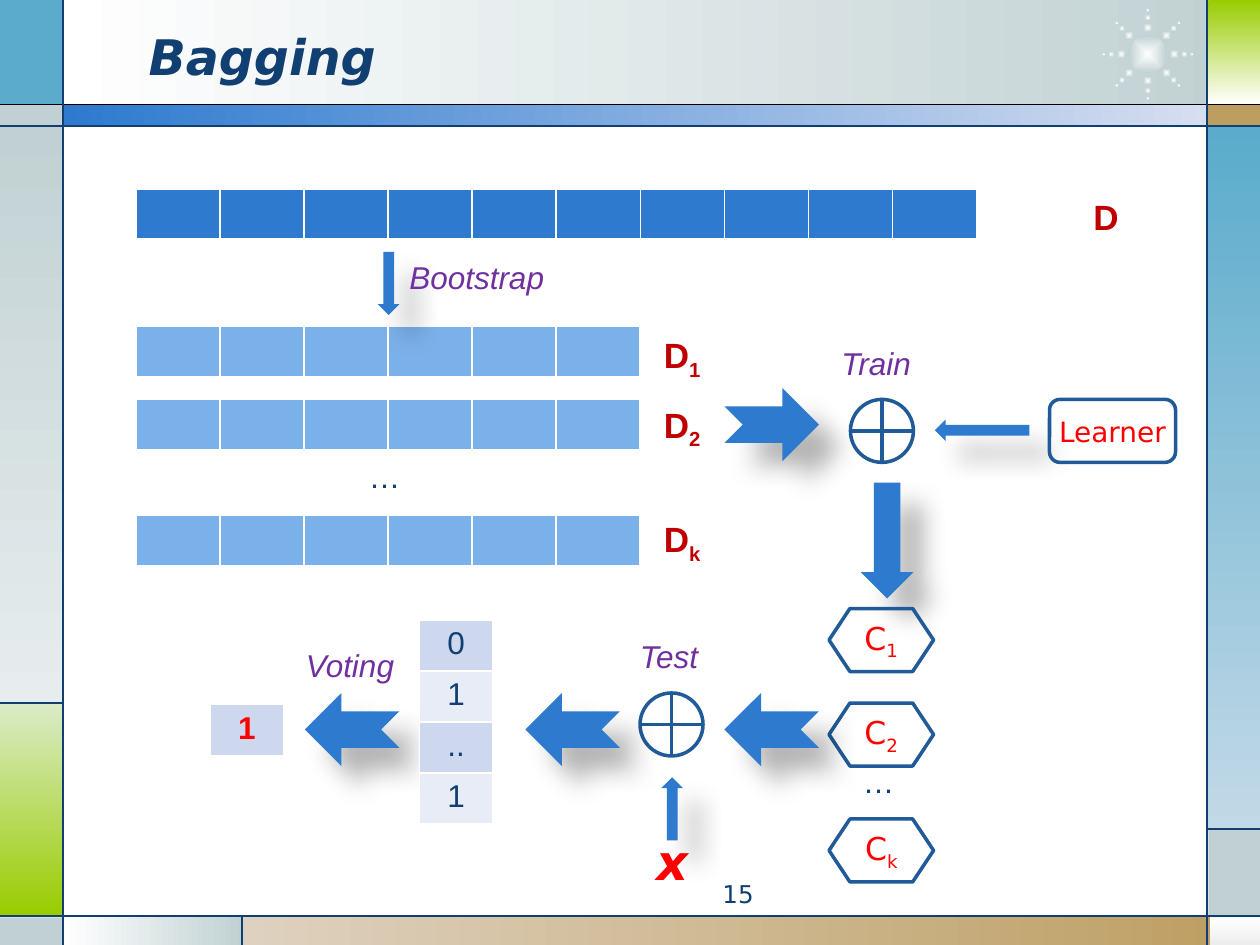
from dataclasses import dataclass
from math import cos, pi, sin

from lxml.etree import SubElement
from pptx import Presentation
from pptx.dml.color import RGBColor
from pptx.enum.shapes import MSO_CONNECTOR, MSO_SHAPE
from pptx.enum.text import MSO_ANCHOR, MSO_AUTO_SIZE, PP_ALIGN
from pptx.oxml import parse_xml
from pptx.oxml.ns import nsdecls, qn
from pptx.util import Inches, Pt


@dataclass(frozen=True)
class Theme:
    white: str = "FFFFFF"
    black: str = "000000"
    navy: str = "113F71"
    outline: str = "215A99"
    blue: str = "2D7ACF"
    light_blue: str = "7BB1EB"
    mist: str = "C1D1D3"
    teal: str = "5AABCC"
    lime: str = "99CC00"
    tan: str = "BD9E61"
    band_dark: str = "CDD7ED"
    band_light: str = "E8ECF6"
    purple: str = "7030A0"
    crimson: str = "C00000"
    red: str = "FF0000"
    heading: str = "DejaVu Sans"
    body: str = "Arial"
    small: int = 14
    learner: int = 16
    normal: int = 18
    dataset: int = 20
    large: int = 28


THEME = Theme()


def text_style(name, size, color, **extra):
    return {"color": color, "font": {"name": name, "size": Pt(size), **extra}}


TITLE = text_style(THEME.heading, THEME.large, THEME.navy, bold=True, italic=True)
PAGE = text_style(THEME.heading, THEME.small, THEME.navy)
STEP = text_style(THEME.body, THEME.normal, THEME.purple, italic=True)
PLAIN = text_style(THEME.body, THEME.normal, THEME.navy)
DATASET = text_style(THEME.body, THEME.dataset, THEME.crimson, bold=True)
LEARNER = text_style(THEME.heading, THEME.learner, THEME.red)
CLASSIFIER = text_style(THEME.heading, THEME.normal, THEME.red)
SAMPLE = text_style(THEME.heading, THEME.large, THEME.red, bold=True, italic=True)
VOTE = text_style(THEME.body, THEME.normal, THEME.red, bold=True)


def assign(target, values):
    for attribute, value in values.items():
        setattr(target, attribute, value)


def write(frame, text, style, subscript="", align=PP_ALIGN.LEFT):
    paragraph = frame.paragraphs[0]
    paragraph.alignment = align
    for part, baseline in ((text, None), (subscript, "-25000")):
        if part:
            run = paragraph.add_run()
            run.text = part
            assign(run.font, style["font"])
            run.font.color.rgb = RGBColor.from_string(style["color"])
            if baseline:
                run.font._element.set("baseline", baseline)


def paint(fill, color):
    fill.solid()
    fill.fore_color.rgb = RGBColor.from_string(color)


def blend(fill, start, end, angle):
    fill.gradient()
    fill.gradient_angle = angle
    for stop, color in zip(fill.gradient_stops, (start, end)):
        stop.color.rgb = RGBColor.from_string(color)


def add_figure(slide, kind, box, outline=None):
    figure = slide.shapes.add_shape(kind, *map(Inches, box))
    figure.shadow.inherit = False
    figure.fill.background()
    if outline:
        paint(figure.line.fill, outline)
        figure.line.width = Pt(2)
    else:
        figure.line.fill.background()
    return figure


def add_panel(slide, box, color, end=None, angle=0):
    panel = add_figure(slide, MSO_SHAPE.RECTANGLE, box)
    if end:
        blend(panel.fill, color, end, angle)
    else:
        paint(panel.fill, color)


def add_rule(slide, ends, color=THEME.navy):
    rule = slide.shapes.add_connector(MSO_CONNECTOR.STRAIGHT, *map(Inches, ends))
    paint(rule.line.fill, color)
    rule.line.width = Pt(0.75)
    SubElement(rule.element.spPr, qn("a:effectLst"))


def add_dot(slide, x, y, size):
    dot = add_figure(slide, MSO_SHAPE.OVAL, (x - size / 2, y - size / 2, size, size))
    blend(dot.fill, THEME.white, THEME.mist, 0)
    gradient = dot.element.spPr.find(qn("a:gradFill"))
    gradient.replace(gradient.find(qn("a:lin")), parse_xml(
        f'<a:path {nsdecls("a")} path="shape">'
        '<a:fillToRect l="50000" t="50000" r="50000" b="50000"/></a:path>'))


def add_starburst(slide, x, y):
    add_dot(slide, x, y, 0.3)
    for ray in range(8):
        angle = ray * pi / 4
        for radius, size in ((0.35, 0.03), (0.29, 0.05), (0.21, 0.07)):
            add_dot(slide, x + radius * cos(angle), y + radius * sin(angle), size)


def add_label(slide, box, text, style, subscript=""):
    frame = slide.shapes.add_textbox(*map(Inches, box)).text_frame
    assign(frame, {"word_wrap": False, "auto_size": MSO_AUTO_SIZE.SHAPE_TO_FIT_TEXT})
    write(frame, text, style, subscript)


def add_node(slide, kind, box, text, style, subscript="", outline=THEME.outline):
    frame = add_figure(slide, kind, box, outline).text_frame
    assign(frame, {"margin_left": 0, "margin_right": 0, "word_wrap": True,
                   "vertical_anchor": MSO_ANCHOR.MIDDLE})
    write(frame, text, style, subscript, PP_ALIGN.CENTER)


def add_arrow(slide, kind, box, flip=None):
    arrow = add_figure(slide, kind, box)
    paint(arrow.fill, THEME.blue)
    if flip:
        arrow.element.spPr.find(qn("a:xfrm")).set(flip, "1")
    arrow.element.spPr.find(qn("a:effectLst")).append(parse_xml(
        f'<a:outerShdw {nsdecls("a")} blurRad="{Pt(15)}" dist="{Pt(18)}" dir="2700000" '
        f'rotWithShape="0"><a:srgbClr val="{THEME.black}"><a:alpha val="30000"/>'
        '</a:srgbClr></a:outerShdw>'))


def add_cells(slide, box, rows, columns, colors, texts=(), style=PLAIN, bottom=1):
    table = slide.shapes.add_table(rows, columns, *map(Inches, box)).table
    assign(table, {"first_row": False, "horz_banding": False})
    for index, cell in enumerate(table.iter_cells()):
        properties = cell._tc.get_or_add_tcPr()
        for side, width in (("L", 1), ("R", 1), ("T", 1), ("B", bottom)):
            properties.append(parse_xml(
                f'<a:ln{side} {nsdecls("a")} w="{Pt(width)}"><a:solidFill>'
                f'<a:srgbClr val="{THEME.white}"/></a:solidFill></a:ln{side}>'))
        paint(cell.fill, colors[index % len(colors)])
        if texts:
            write(cell.text_frame, texts[index], style, align=PP_ALIGN.CENTER)


def add_backdrop(slide):
    for panel in (
        ((0.5, 0, 9.27, 0.84), THEME.white, THEME.mist),
        ((0, 0, 0.5, 0.84), THEME.teal),
        ((0, 0.83, 0.5, 0.17), THEME.mist),
        ((0, 1, 0.5, 4.58), THEME.mist, "E7EDEE", 270),
        ((0, 5.58, 0.5, 1.69), "DBEBC9", THEME.lime, 270),
        ((0, 7.28, 0.5, 0.22), THEME.mist),
        ((0.5, 7.27, 1.43, 0.23), THEME.white, THEME.mist),
        ((1.92, 7.27, 8.08, 0.23), "DED1BF", THEME.tan),
        ((9.6, 7.28, 0.4, 0.22), THEME.white, "EDEDED", 270),
        ((9.59, 6.58, 0.41, 0.7), THEME.mist),
        ((9.58, 1, 0.42, 5.58), THEME.teal, "C2D9E7", 270),
        ((9.58, 0.83, 0.42, 0.17), THEME.tan),
        ((9.59, 0, 0.41, 0.83), THEME.lime, THEME.white, 270),
        ((0.5, 0.83, 9.09, 0.17), THEME.blue, "D7DEF0"),
    ):
        add_panel(slide, *panel)
    add_starburst(slide, 9.11, 0.43)
    add_rule(slide, (0, 0.83, 10, 0.83), THEME.black)
    for ends in ((0, 1, 10, 1), (0, 7.27, 10, 7.27), (0.5, 0, 0.5, 7.5),
                 (9.58, 0, 9.58, 7.5), (0.5, 5.58, 0, 5.58),
                 (1.92, 7.27, 1.92, 7.5), (9.58, 6.58, 10, 6.58)):
        add_rule(slide, ends)


def add_heading(slide):
    title = slide.shapes.title
    title.element.getparent().append(title.element)
    assign(title, dict(zip(("left", "top", "width", "height"),
                           map(Inches, (1.08, 0.13, 7.33, 0.62)))))
    title.text_frame.vertical_anchor = MSO_ANCHOR.MIDDLE
    write(title.text_frame, "Bagging", TITLE)
    page = slide.shapes.add_textbox(*map(Inches, (3.75, 6.93, 2.33, 0.27))).text_frame
    page.word_wrap = True
    write(page, "15", PAGE, align=PP_ALIGN.RIGHT)


def add_bootstrap(slide):
    add_cells(slide, (1.08, 1.5, 6.67, 0.41), 1, 10, [THEME.blue], bottom=3)
    add_label(slide, (8.58, 1.5, 0.41, 0.44), "D", DATASET)
    for subscript, top, label_top in (("1", 2.59, 2.6), ("2", 3.17, 3.15), ("k", 4.09, 4.06)):
        add_cells(slide, (1.08, top, 4, 0.41), 1, 6, [THEME.light_blue], bottom=3)
        add_label(slide, (5.17, label_top, 0.51, 0.44), "D", DATASET, subscript)
    add_arrow(slide, MSO_SHAPE.DOWN_ARROW, (3, 2, 0.17, 0.5))
    add_label(slide, (3.15, 2, 1.28, 0.4), "Bootstrap", STEP)
    add_label(slide, (2.83, 3.58, 0.45, 0.4), "…", PLAIN)


def add_training(slide):
    add_label(slide, (6.58, 2.68, 0.77, 0.4), "Train", STEP)
    add_figure(slide, MSO_SHAPE.FLOWCHART_OR, (6.75, 3.17, 0.5, 0.5), THEME.outline)
    add_arrow(slide, MSO_SHAPE.RIGHT_ARROW, (7.42, 3.33, 0.75, 0.17), "flipH")
    add_node(slide, MSO_SHAPE.FLOWCHART_ALTERNATE_PROCESS, (8.33, 3.17, 1, 0.5),
             "Learner", LEARNER)
    add_arrow(slide, MSO_SHAPE.NOTCHED_RIGHT_ARROW, (5.75, 3.08, 0.75, 0.58))
    add_arrow(slide, MSO_SHAPE.DOWN_ARROW, (6.83, 3.83, 0.42, 0.92))
    for subscript, top in (("1", 4.83), ("2", 5.58), ("k", 6.5)):
        add_node(slide, MSO_SHAPE.FLOWCHART_PREPARATION, (6.58, top, 0.83, 0.5),
                 "C", CLASSIFIER, subscript)
    add_label(slide, (6.75, 6, 0.45, 0.4), "…", PLAIN)


def add_voting(slide):
    add_figure(slide, MSO_SHAPE.FLOWCHART_OR, (5.08, 5.5, 0.5, 0.5), THEME.outline)
    for left in (5.75, 4.17, 2.42):
        add_arrow(slide, MSO_SHAPE.NOTCHED_RIGHT_ARROW, (left, 5.5, 0.75, 0.58), "flipH")
    add_label(slide, (4.98, 5.01, 0.67, 0.4), "Test", STEP)
    add_label(slide, (2.33, 5.08, 0.91, 0.4), "Voting", STEP)
    add_cells(slide, (3.33, 4.92, 0.58, 1.62), 4, 1,
              [THEME.band_dark, THEME.band_light], ["0", "1", "..", "1"])
    add_cells(slide, (1.67, 5.59, 0.58, 0.41), 1, 1, [THEME.band_dark], ["1"], VOTE)
    add_node(slide, MSO_SHAPE.ROUNDED_RECTANGLE, (5, 6.58, 0.67, 0.5), "x", SAMPLE,
             outline=None)
    add_arrow(slide, MSO_SHAPE.DOWN_ARROW, (5.25, 6.17, 0.17, 0.5), "flipV")


def main():
    presentation = Presentation()
    assign(presentation, {"slide_width": Inches(10), "slide_height": Inches(7.5)})
    slide = presentation.slides.add_slide(presentation.slide_layouts[5])
    for add_section in (add_backdrop, add_heading, add_bootstrap, add_training, add_voting):
        add_section(slide)
    presentation.save("out.pptx")


if __name__ == "__main__":
    main()
